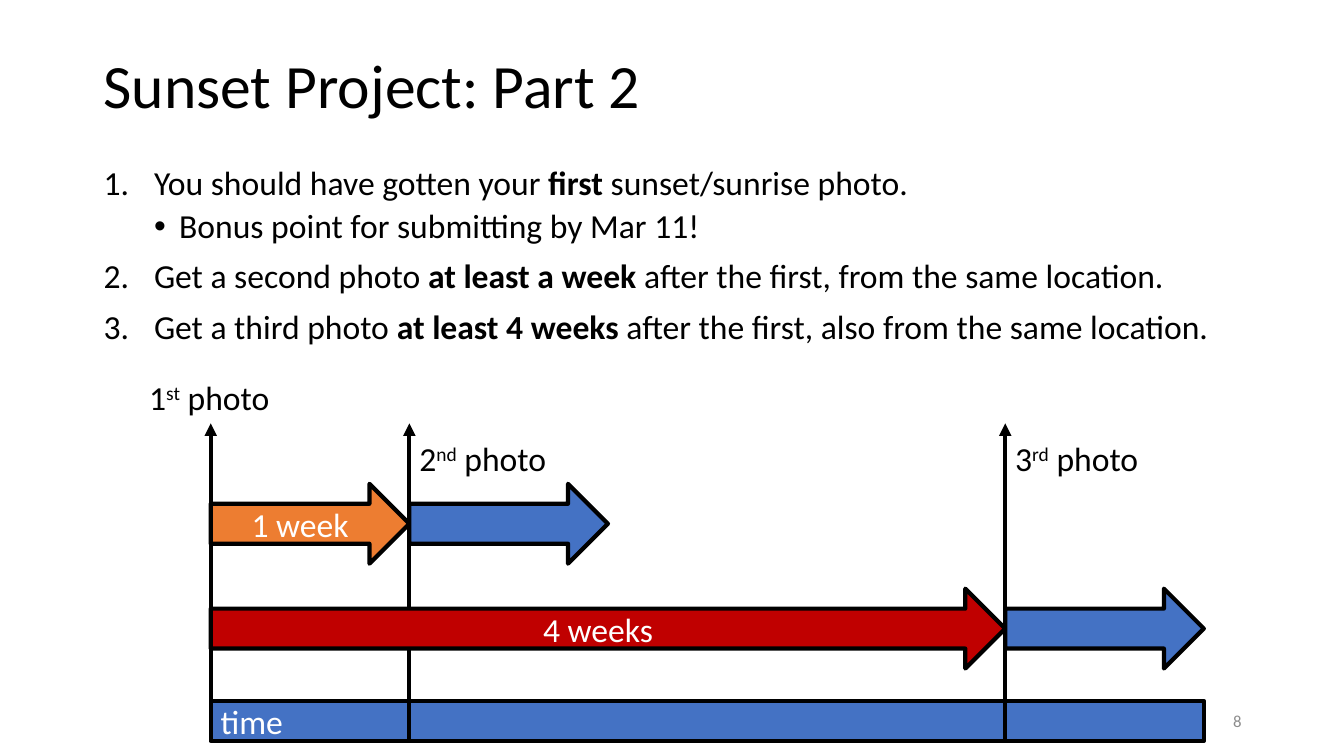
import pptx
import pptx.dml.color
import pptx.enum.shapes
import pptx.enum.text
import pptx.util
from lxml import etree
from pptx.oxml.ns import qn

COLORS = {
    "ink": "000000",
    "paper": "FFFFFF",
    "muted": "8C8C8C",
    "time": "4472C4",
    "week": "ED7D31",
    "month": "C00000",
}
FONT = "Calibri"
SHAPES = pptx.enum.shapes.MSO_SHAPE
ALIGN = pptx.enum.text.PP_ALIGN
ANCHOR = pptx.enum.text.MSO_ANCHOR

# One column is one week on the time line; column 0 is the first photo.
FIRST_PHOTO = 2.09
COLUMN = 1.97
ROW = 0.4
PHOTO_WEEKS = (0, 1, 4)
LAST_WEEK = 5
MARGIN_COLUMN, TEXT_COLUMNS = -0.59, 5.84
SHORT_ROW, LONG_ROW, TIME_ROW = 12, 14.6, 17.38
MARKER_ROW = 10.5


def rgb(name):
    return pptx.dml.color.RGBColor.from_string(COLORS[name])


def x_at(column):
    return pptx.util.Inches(FIRST_PHOTO + column * COLUMN)


def y_at(row):
    return pptx.util.Inches(row * ROW)


def frame(column, row, columns, rows):
    """Left, top, width and height of a block of grid cells."""
    return x_at(column), y_at(row), pptx.util.Inches(columns * COLUMN), y_at(rows)


def write(para, *spans, size=24, color="ink", align=ALIGN.LEFT, spacing=1.0,
          before=0, level=0, bullet=None, indent=None):
    """Fill a paragraph; a span is a text or a (text, "bold" or "super") pair."""
    properties = para._p.get_or_add_pPr()
    if indent:
        left, first = indent
        properties.set("marL", str(pptx.util.Inches(left)))
        properties.set("indent", str(pptx.util.Inches(first)))
    if bullet == "number":
        etree.SubElement(properties, qn("a:buFont"), typeface="+mj-lt")
        etree.SubElement(properties, qn("a:buAutoNum"), type="arabicPeriod")
    elif bullet:
        etree.SubElement(properties, qn("a:buFont"), typeface="Arial")
        etree.SubElement(properties, qn("a:buChar"), char=bullet)
    para.level = level
    para.alignment = align
    para.line_spacing = spacing
    para.space_before = pptx.util.Pt(before)
    for span in spans:
        text, style = (span, None) if isinstance(span, str) else span
        run = para.add_run()
        run.text = text
        run.font.name = FONT
        run.font.size = pptx.util.Pt(size)
        run.font.color.rgb = rgb(color)
        run.font.bold = style == "bold"
        if style == "super":
            run.font._element.set("baseline", "30000")


class Page:
    def __init__(self, deck):
        self.slide = deck.slides.add_slide(deck.slide_layouts[1])
        self.shapes = self.slide.shapes

    def place(self, index, cells, anchor):
        """Move a placeholder to its cells and return its text frame."""
        holder = self.slide.placeholders[index]
        holder.left, holder.top, holder.width, holder.height = frame(*cells)
        text = holder.text_frame
        text.auto_size = pptx.enum.text.MSO_AUTO_SIZE.NONE
        text.vertical_anchor = anchor
        return text

    def title(self, text, cells):
        holder = self.place(0, cells, ANCHOR.MIDDLE)
        write(holder.paragraphs[0], text, size=44, spacing=0.9)

    def steps(self, items, cells):
        """Numbered steps; an item is its level and its spans."""
        holder = self.place(1, cells, ANCHOR.TOP)
        for position, (level, *spans) in enumerate(items):
            para = holder.add_paragraph() if position else holder.paragraphs[0]
            before = (5 if level else 10) if position else 0
            write(para, *spans, level=level, spacing=0.9, before=before,
                  bullet="•" if level else "number",
                  indent=(0.75, -0.25) if level else (0.5, -0.5))

    def label(self, cells, *spans, anchor=ANCHOR.TOP, **style):
        text = self.shapes.add_textbox(*frame(*cells)).text_frame
        text.word_wrap = True
        text.vertical_anchor = anchor
        write(text.paragraphs[0], *spans, **style)

    def block(self, kind, cells, fill, text="", align=ALIGN.CENTER):
        shape = self.shapes.add_shape(kind, *frame(*cells))
        shape.shadow.inherit = False
        shape.fill.solid()
        shape.fill.fore_color.rgb = rgb(fill)
        shape.line.color.rgb = rgb("ink")
        shape.line.width = pptx.util.Pt(3)
        shape.text_frame.vertical_anchor = ANCHOR.MIDDLE
        if text:
            write(shape.text_frame.paragraphs[0], text, color="paper", align=align)

    def span_arrow(self, start, end, row, fill, text=""):
        self.block(SHAPES.RIGHT_ARROW, (start, row, end - start, 1.98), fill, text)

    def marker(self, week):
        """Upright arrow from the foot of the time bar."""
        line = self.shapes.add_connector(
            pptx.enum.shapes.MSO_CONNECTOR.STRAIGHT,
            x_at(week), y_at(TIME_ROW + 1), x_at(week), y_at(MARKER_ROW))
        line.line.color.rgb = rgb("ink")
        line.line.width = pptx.util.Pt(3)
        etree.SubElement(line.line._get_or_add_ln(), qn("a:tailEnd"), type="triangle")
        etree.SubElement(line._element.spPr, qn("a:effectLst"))


def main():
    deck = pptx.Presentation()
    deck.slide_width = pptx.util.Inches(13.33)
    deck.slide_height = pptx.util.Inches(7.5)
    page = Page(deck)
    first, second, third = PHOTO_WEEKS

    page.title("Sunset Project: Part 2", (MARGIN_COLUMN, 0.38, TEXT_COLUMNS, 3.62))
    page.steps([
        (0, "You should have gotten your ", ("first", "bold"), " sunset/sunrise photo."),
        (1, "Bonus point for submitting by Mar 11!"),
        (0, "Get a second photo ", ("at least a week", "bold"),
         " after the first, from the same location."),
        (0, "Get a third photo ", ("at least 4 weeks ", "bold"),
         "after the first, also from the same location."),
    ], (MARGIN_COLUMN, 4, TEXT_COLUMNS, 12.28))
    page.label((3.72, TIME_ROW, 1.52, 1), "8", size=12, color="muted",
               align=ALIGN.RIGHT, anchor=ANCHOR.MIDDLE)

    page.span_arrow(first, second, SHORT_ROW, "week", "1 week")
    page.block(SHAPES.RECTANGLE, (first, TIME_ROW, LAST_WEEK, 1), "time", "time",
               align=ALIGN.LEFT)
    page.marker(second)
    page.span_arrow(first, third, LONG_ROW, "month", "4 weeks")
    page.marker(first)
    page.marker(third)
    page.span_arrow(second, second + 1, SHORT_ROW, "time")
    page.span_arrow(third, LAST_WEEK, LONG_ROW, "time")

    for number, ending, column, row in (
            ("1", "st", -0.36, 9.23),
            ("2", "nd", second, 10.75),
            ("3", "rd", third, 10.75)):
        page.label((column, row, 0.77, 1.25), number, (ending, "super"), " photo")

    deck.save("out.pptx")


if __name__ == "__main__":
    main()
